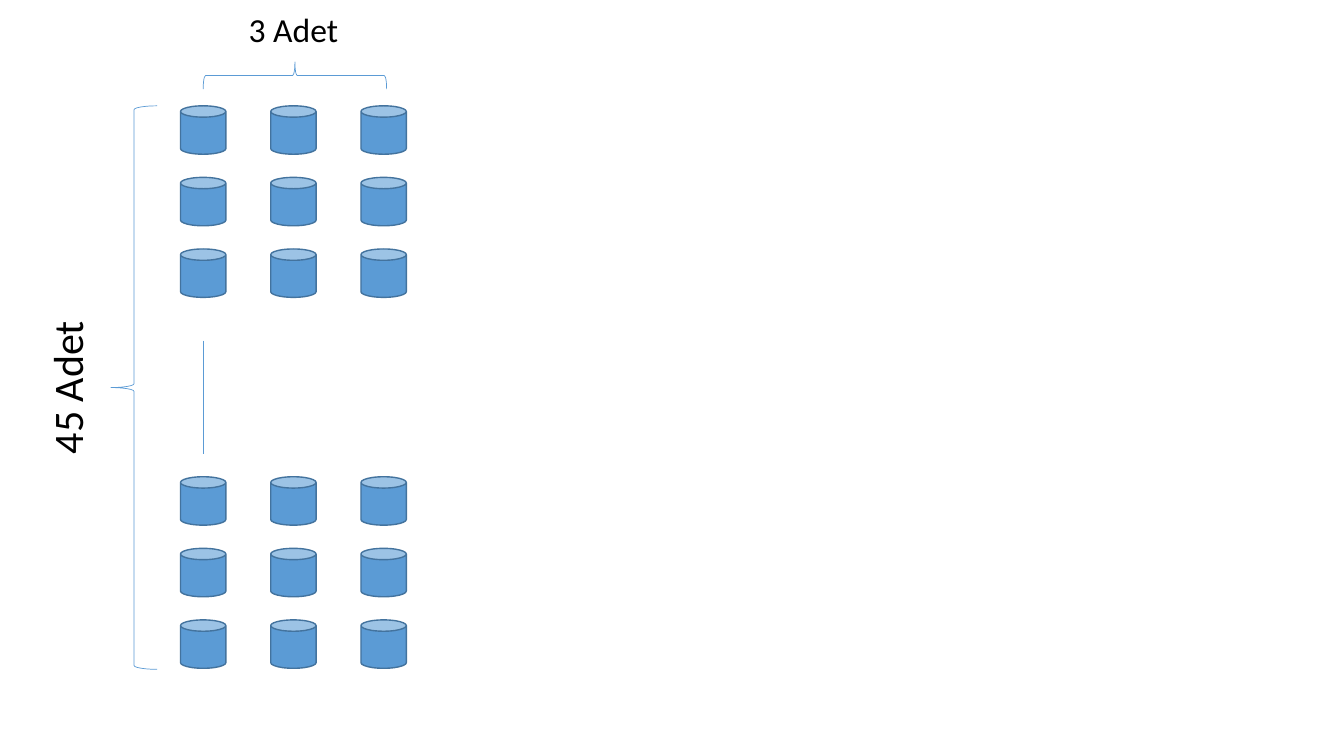
from itertools import product

from lxml.etree import SubElement
from pptx import Presentation
from pptx.dml.color import RGBColor
from pptx.enum.shapes import MSO_CONNECTOR, MSO_SHAPE
from pptx.enum.text import MSO_ANCHOR, PP_ALIGN
from pptx.oxml.ns import qn
from pptx.util import Inches, Pt

BLUE = RGBColor(0x5B, 0x9B, 0xD5)
EDGE = RGBColor(0x43, 0x73, 0x9E)
BLACK = RGBColor(0, 0, 0)

# Grid of cans, in inches
LEFT, COL, ROW = 1.79, 0.895, 0.71
CAN_W, CAN_H = 0.45, 0.48
COUNT = 3
TOPS = (1.05, 4.73)


def place(*box):
    return [Inches(part) for part in box]


def add_can(slide, top, row, col):
    box = place(LEFT + col * COL, top + row * ROW, CAN_W, CAN_H)
    can = slide.shapes.add_shape(MSO_SHAPE.CAN, *box)
    can.shadow.inherit = False
    can.fill.solid()
    can.fill.fore_color.rgb = BLUE
    can.line.color.rgb = EDGE
    can.line.width = Pt(1)


def add_brace(slide, kind, box, turn=0):
    brace = slide.shapes.add_shape(kind, *place(*box))
    brace.rotation = turn
    brace.shadow.inherit = False
    brace.fill.background()
    brace.line.color.rgb = BLUE
    brace.line.width = Pt(0.5)


def add_line(slide, x, top, end):
    line = slide.shapes.add_connector(
        MSO_CONNECTOR.STRAIGHT, *place(x, top, x, end))
    line.line.color.rgb = BLUE
    line.line.width = Pt(0.5)
    SubElement(line._element.spPr, qn("a:effectLst"))


def add_label(slide, text, size, box, turn=0):
    label = slide.shapes.add_textbox(*place(*box))
    label.rotation = turn
    frame = label.text_frame
    frame.word_wrap = True
    frame.vertical_anchor = MSO_ANCHOR.TOP
    para = frame.paragraphs[0]
    para.alignment = PP_ALIGN.CENTER
    run = para.add_run()
    run.text = text
    run.font.name = "Calibri"
    run.font.size = Pt(size)
    run.font.color.rgb = BLACK


def main():
    deck = Presentation()
    deck.slide_width, deck.slide_height = place(13.33, 7.5)
    slide = deck.slides.add_slide(deck.slide_layouts[6])

    # Two blocks of cans, with a line for the rows between them
    for top, row, col in product(TOPS, range(COUNT), range(COUNT)):
        add_can(slide, top, row, col)
    add_line(slide, LEFT + CAN_W / 2, 3.38, 4.5)

    # Row count at the left
    add_brace(slide, MSO_SHAPE.LEFT_BRACE, (1.1, TOPS[0], 0.46, 5.59))
    add_label(slide, "45 Adet", 30, (-0.64, 3.54, 2.61, 0.61), 270)

    # Column count at the top
    add_brace(slide, MSO_SHAPE.RIGHT_BRACE, (2.79, -0.16, 0.27, 1.82), 270)
    add_label(slide, "3 Adet", 24, (2.29, 0.04, 1.24, 1.41))

    deck.save("out.pptx")


if __name__ == "__main__":
    main()
